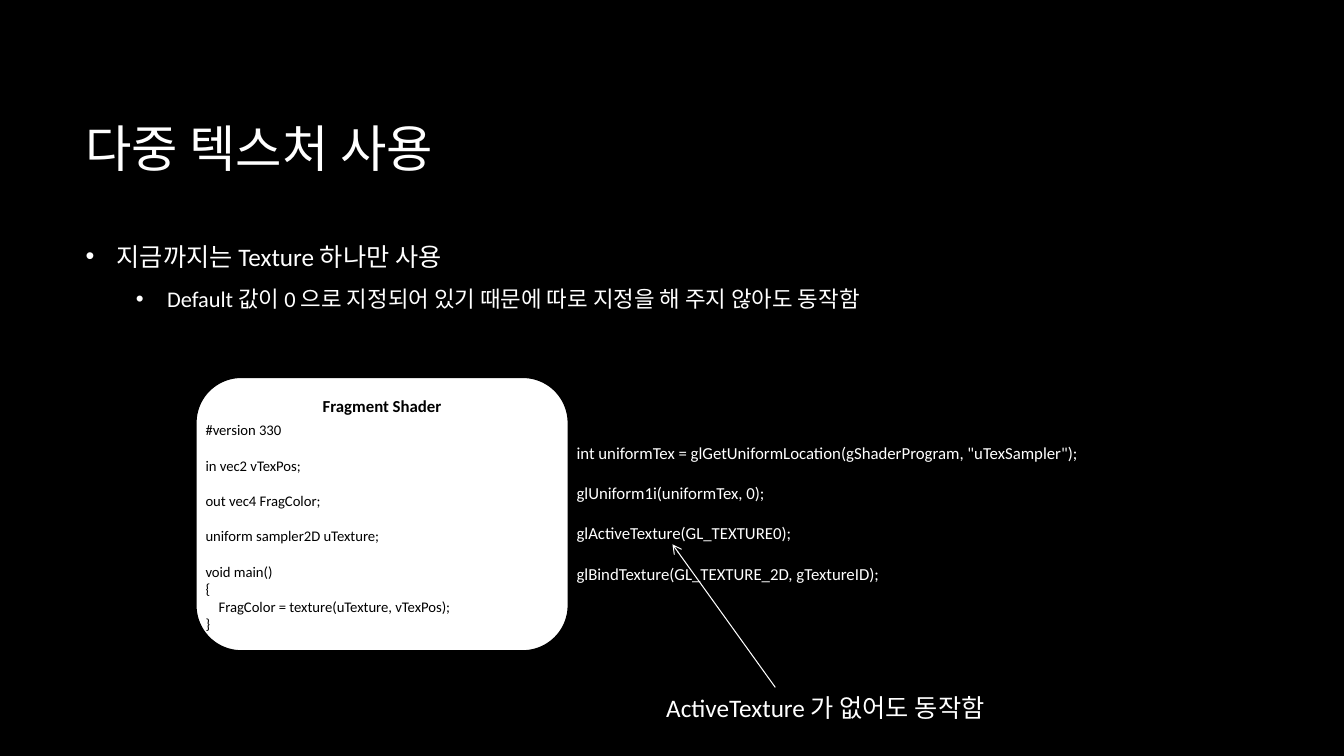
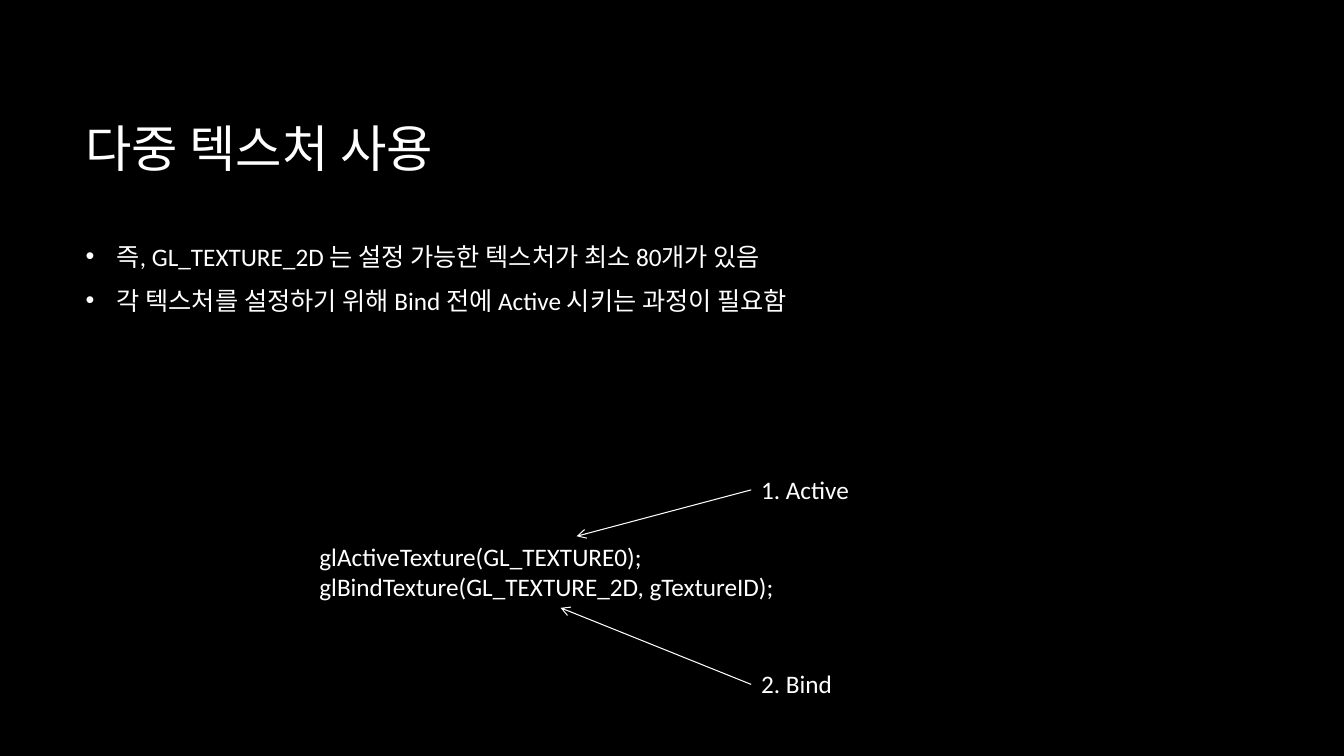
from lxml import etree
from pptx import Presentation
from pptx.dml.color import RGBColor
from pptx.enum.shapes import MSO_CONNECTOR, MSO_SHAPE
from pptx.enum.text import MSO_ANCHOR, PP_ALIGN
from pptx.oxml.ns import qn
from pptx.util import Inches, Pt

ROUNDED = MSO_SHAPE.ROUNDED_RECTANGLE
STRAIGHT = MSO_CONNECTOR.STRAIGHT
TOP, MIDDLE = MSO_ANCHOR.TOP, MSO_ANCHOR.MIDDLE
LEFT, CENTER = PP_ALIGN.LEFT, PP_ALIGN.CENTER

COLORS = {"background": "000000", "text": "FFFFFF", "panel": "FFFFFF", "code": "000000"}
FONT = "Calibri"
TITLE = "다중 텍스처 사용"
TITLE_BOX = (0.75, 0.67, 11.08, 1.59)
BODY_BOX = (0.75, 2.34, 11.08, 3.99)
BULLET_HANG = 0.31
LINE_HEIGHT = 1.2


def write(frame, text, size=18, color="text", bold=False, align=LEFT,
          after=0, indent=0, bullet=False):
    """Add one paragraph; after is in points and indent in inches."""
    paragraph = frame.paragraphs[0]
    if paragraph.runs:
        paragraph = frame.add_paragraph()
    paragraph.alignment = align
    paragraph.space_after = Pt(after)
    run = paragraph.add_run()
    run.text = text
    run.font.name = FONT
    run.font.size = Pt(size)
    run.font.bold = bold
    run.font.color.rgb = RGBColor.from_string(COLORS[color])
    properties = paragraph._p.get_or_add_pPr()
    hang = BULLET_HANG if bullet else 0
    properties.set("marL", str(Inches(indent + hang)))
    properties.set("indent", str(-Inches(hang)))
    if bullet:
        bullet_color = etree.SubElement(properties, qn("a:buClr"))
        etree.SubElement(bullet_color, qn("a:srgbClr"), val=COLORS[color])
        etree.SubElement(properties, qn("a:buFont"), typeface="Arial")
        etree.SubElement(properties, qn("a:buChar"), char="•")


def add_frame(slide, box, anchor=TOP):
    """Add a wrapping text box and return its text frame."""
    frame = slide.shapes.add_textbox(*map(Inches, box)).text_frame
    frame.word_wrap = True
    frame.vertical_anchor = anchor
    return frame


prs = Presentation()
prs.slide_width, prs.slide_height = Inches(13.33), Inches(7.5)
master_fill = prs.slide_master.background.fill
master_fill.solid()
master_fill.fore_color.rgb = RGBColor.from_string(COLORS["background"])

# Titles and bullets: text, size, indent
bullets_by_slide = [
    [("지금까지는 Texture 하나만 사용", 18, 0),
     ("Default 값이 0 으로 지정되어 있기 때문에 따로 지정을 해 주지 않아도 동작함", 16, 0.5)],
    [("즉, GL_TEXTURE_2D 는 설정 가능한 텍스처가 최소 80개가 있음", 18, 0),
     ("각 텍스처를 설정하기 위해 Bind 전에 Active 시키는 과정이 필요함", 18, 0)],
]
slides = []
for bullets in bullets_by_slide:
    slide = prs.slides.add_slide(prs.slide_layouts[6])
    write(add_frame(slide, TITLE_BOX, MIDDLE), TITLE, size=36)
    body = add_frame(slide, BODY_BOX)
    for text, size, indent in bullets:
        write(body, text, size=size, indent=indent, after=10, bullet=True)
    slides.append(slide)
default_slide, order_slide = slides

# Fragment shader panel
panel = default_slide.shapes.add_shape(ROUNDED, *map(Inches, (1.94, 3.74, 3.7, 2.72)))
panel.shadow.inherit = False
panel.fill.solid()
panel.fill.fore_color.rgb = RGBColor.from_string(COLORS["panel"])
panel.line.color.rgb = RGBColor.from_string(COLORS["background"])
panel.line.width = Pt(1.5)
panel.text_frame.vertical_anchor = TOP
write(panel.text_frame, "Fragment Shader", size=12, color="code", bold=True, align=CENTER)

# Code: box, size, colour, statements set one line apart, closing lines with indents
code_blocks = [
    (default_slide, (1.94, 4.13, 3.7, 2.22), 10.5, "code",
     ["#version 330", "in vec2 vTexPos;", "out vec4 FragColor;", "uniform sampler2D uTexture;"],
     [("void main()", 0), ("{", 0),
      ("FragColor = texture(uTexture, vTexPos);", 0.13), ("}", 0)]),
    (default_slide, (5.62, 4.34, 6.06, 1.51), 12, "text",
     ['int uniformTex = glGetUniformLocation(gShaderProgram, "uTexSampler");',
      "glUniform1i(uniformTex, 0);", "glActiveTexture(GL_TEXTURE0);"],
     [("glBindTexture(GL_TEXTURE_2D, gTextureID);", 0)]),
    (order_slide, (3.07, 5.32, 7.17, 0.71), 18, "text", [],
     [("glActiveTexture(GL_TEXTURE0);", 0), ("glBindTexture(GL_TEXTURE_2D, gTextureID);", 0)]),
]
for slide, box, size, color, statements, closing in code_blocks:
    code = add_frame(slide, box)
    for statement in statements:
        write(code, statement, size=size, color=color, after=size * LINE_HEIGHT)
    for line, indent in closing:
        write(code, line, size=size, color=color, indent=indent)

# Notes on the code, each with an arrow to its line
callouts = [
    (default_slide, "ActiveTexture 가 없어도 동작함", (6.51, 6.82, 4.33, 0.4), (7.69, 6.82), (6.67, 5.4)),
    (order_slide, "1. Active", (7.45, 4.66, 3.23, 0.4), (7.45, 4.86), (5.72, 5.32)),
    (order_slide, "2. Bind", (7.45, 6.58, 3.23, 0.4), (7.45, 6.79), (5.56, 6.03)),
]
for slide, label, box, start, end in callouts:
    write(add_frame(slide, box), label)
    arrow = slide.shapes.add_connector(STRAIGHT, *map(Inches, start + end))
    arrow.line.color.rgb = RGBColor.from_string(COLORS["text"])
    arrow.line.width = Pt(0.75)
    etree.SubElement(arrow.line._get_or_add_ln(), qn("a:tailEnd"), type="arrow")
    etree.SubElement(arrow._element.spPr, qn("a:effectLst"))

prs.save("out.pptx")
